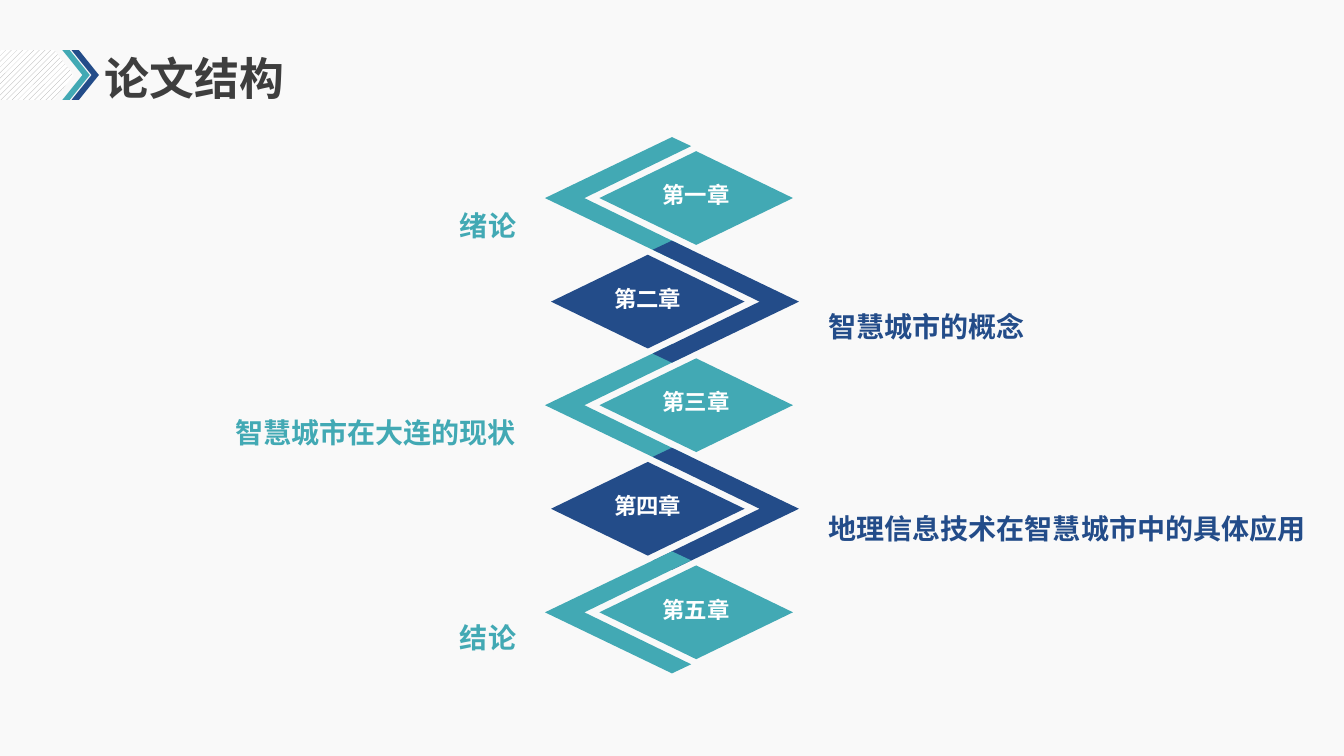
from pptx import Presentation
from pptx.dml.color import RGBColor as Rgb
from pptx.enum.dml import MSO_PATTERN as Pat
from pptx.enum.shapes import MSO_SHAPE as Kind
from pptx.enum.text import MSO_ANCHOR as Anchor, MSO_AUTO_SIZE as Fit, PP_ALIGN as Align
from pptx.oxml.ns import qn
from pptx.util import Inches, Pt
from lxml.etree import SubElement as Sub

TEAL, NAVY, INK, WHITE = "42A9B4", "234C89", "3E3E3E", "FFFFFF"
CJK = "Noto Sans CJK SC"
MID, FIRST, STEP = 50, 26.2, 13.7
CHAPS = [
    ("第一章", "绪论", 27.6, 21.82),
    ("第二章", "智慧城市的概念", 40.9, 23.63),
    ("第三章", "智慧城市在大连的现状", 54.9, 21.82),
    ("第四章", "地理信息技术在智慧城市中的具体应用", 67.6, 37.5),
    ("第五章", "结论", 82.1, 21.82),
]
STACK = [0, 2, 3, 4, 1]


def color(code):
    return Rgb.from_string(code)


class Board:
    def __init__(self, deck):
        self.col, self.row = deck.slide_width / 100, deck.slide_height / 100
        self.slide = deck.slides.add_slide(deck.slide_layouts[6])
        self.on = self.slide.shapes

    def spot(self, x, y):
        return round(x * self.col), round(y * self.row)

    def back(self, code):
        fill = self.slide.background.fill
        fill.solid()
        fill.fore_color.rgb = color(code)

    def group(self):
        self.on = self.slide.shapes.add_group_shape().shapes

    def paint(self, shape, code):
        shape.shadow.inherit = False
        shape.fill.solid()
        shape.fill.fore_color.rgb = color(code)
        shape.line.fill.background()
        return shape

    def shape(self, kind, x, y, w, h, code, bend=None):
        item = self.on.add_shape(kind, *self.spot(x, y), *self.spot(w, h))
        if bend is not None:
            item.adjustments[0] = bend
        return self.paint(item, code)

    def hatch(self, shape, front, rear):
        fill = shape.fill
        fill.patterned()
        fill.pattern = Pat.WIDE_UPWARD_DIAGONAL
        fill.fore_color.rgb = color(front)
        fill.back_color.rgb = color(rear)

    def form(self, dots, code):
        start, *rest = [self.spot(*dot) for dot in dots]
        pen = self.on.build_freeform(*start)
        pen.add_line_segments(rest, close=True)
        self.paint(pen.convert_to_shape(), code)

    def text(self, words, x, y, w, h, size, code, align=Align.LEFT, face=CJK):
        box = self.on.add_textbox(*self.spot(x, y), *self.spot(w, h))
        frame = box.text_frame
        frame.word_wrap = True
        frame.text = words
        para = frame.paragraphs[0]
        para.alignment = align
        font = para.runs[0].font
        font.size, font.bold, font.name = Pt(size), True, face
        font.color.rgb = color(code)
        Sub(para.runs[0].font._element, qn("a:ea")).set("typeface", CJK)
        return frame

    def label(self, *spec_args):
        frame = self.text(*spec_args)
        frame.margin_left = frame.margin_right = 0
        frame.margin_top = frame.margin_bottom = 0
        frame.auto_size = Fit.SHAPE_TO_FIT_TEXT

    def header(self, words):
        top, high = 6.65, 6.55
        plate = self.shape(Kind.PENTAGON, 0, top, 5.48, high, WHITE, 0.39)
        self.hatch(plate, "A6A6A6", WHITE)
        for x, code in ((4.65, TEAL), (5.33, NAVY)):
            self.shape(Kind.CHEVRON, x, top, 2.03, high, code, 0.73)
        frame = self.text(words, 7.05, 7.33, 37.05, 6.67, 32, INK, face="Karla")
        frame.vertical_anchor = Anchor.MIDDLE
        frame.paragraphs[0].line_spacing = 0.9

    def chapter(self, name, mid, side, code):
        self.group()
        half = [(0, -8.07), (-1.43, -6.87), (6.52, 0), (-1.43, 6.87), (0, 8.07), (9.45, 0)]
        self.form([(MID + side * x, mid + y) for x, y in half], code)
        heart = MID - side * 1.8
        self.shape(Kind.FLOWCHART_DECISION, heart - 7.2, mid - 6.2, 14.4, 12.4, code)
        self.label(name, heart - 4.75, mid - 2.2, 9.5, 3.6, 16, WHITE, Align.CENTER)


def main():
    deck = Presentation()
    deck.slide_width, deck.slide_height = Inches(13.33), Inches(7.5)
    board = Board(deck)
    board.back("F9F9F9")
    board.header("论文结构")
    looks = [(-1, TEAL, 16.58, Align.RIGHT), (1, NAVY, 61.65, Align.LEFT)]
    for i, (name, topic, top, wide) in enumerate(CHAPS):
        side, code, left, align = looks[i % 2]
        board.label(topic, left, top, wide, 4.53, 20, code, align)
    for i in STACK:
        side, code, left, align = looks[i % 2]
        board.chapter(CHAPS[i][0], FIRST + i * STEP, side, code)
    deck.save("out.pptx")


if __name__ == "__main__":
    main()
